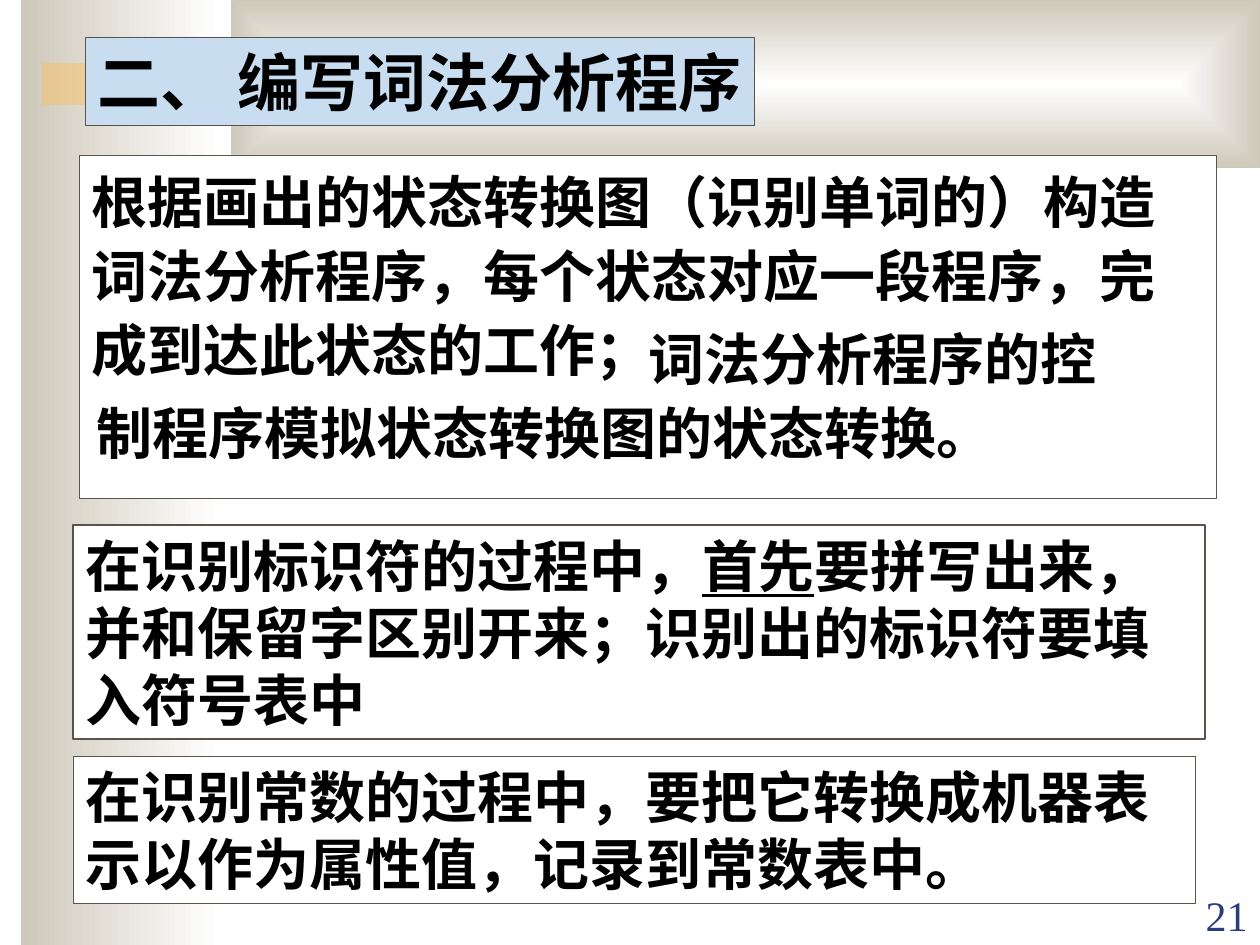
import dataclasses
import typing

import pptx
import pptx.dml.color
import pptx.enum.shapes
import pptx.enum.text
import pptx.oxml
import pptx.oxml.ns
import pptx.util

RGB = pptx.dml.color.RGBColor
WHITE = RGB(0xFF, 0xFF, 0xFF)
BLACK = RGB(0, 0, 0)
TAN = RGB(0xCE, 0xC8, 0xBA)
GOLD = RGB(0xFA, 0xC1, 0x64)
BROWN = RGB(0x5B, 0x52, 0x49)
BLUE = RGB(0xC9, 0xDD, 0xF1)
NAVY = RGB(0x2A, 0x3D, 0x7A)

JP = "Noto Sans CJK JP"
SC = "Noto Sans CJK SC"
TIMES = "Times New Roman"
SCALE = 914400 / 126
NS = pptx.oxml.ns.nsdecls("a")
Area = tuple[int, int, int, int]


@dataclasses.dataclass
class Run:
    text: str
    line: bool = False


@dataclasses.dataclass
class Box:
    area: Area
    runs: list[Run]
    font: str = JP
    size: int = 32
    bold: bool = True
    ink: RGB = BLACK
    fill: typing.Optional[RGB] = WHITE
    edge: float = 0.25
    wrap: bool = True
    indent: int = 0
    form: dict[str, typing.Any] = dataclasses.field(default_factory=dict)
    anchor: typing.Any = pptx.enum.text.MSO_ANCHOR.TOP


def px(value: int) -> int:
    return round(value * SCALE)


def assign(item: typing.Any, values: dict[str, typing.Any]) -> None:
    for name, value in values.items():
        setattr(item, name, value)


def add_rect(slide: typing.Any, area: Area) -> typing.Any:
    kind = pptx.enum.shapes.MSO_SHAPE.RECTANGLE
    shape = slide.shapes.add_shape(kind, *map(px, area))
    shape.shadow.inherit = False
    shape.line.fill.background()
    return shape


def add_fade(slide: typing.Any, area: Area, center: bool = False) -> None:
    shape = add_rect(slide, area)
    shape.fill.gradient()
    shape.fill.gradient_angle = 180
    for stop, color, place in zip(shape.fill.gradient_stops, (WHITE, TAN), (0, 1)):
        stop.color.rgb = color
        stop.position = place
    if center:
        lin = shape.element.spPr.find(".//" + pptx.oxml.ns.qn("a:lin"))
        focus = pptx.oxml.parse_xml(
            f'<a:path {NS} path="rect">'
            '<a:fillToRect l="50000" t="50000" r="50000" b="50000"/></a:path>'
        )
        lin.getparent().replace(lin, focus)


def add_bar(slide: typing.Any, area: Area) -> None:
    shape = add_rect(slide, area)
    shape.fill.solid()
    shape.fill.fore_color.rgb = GOLD
    color = shape.element.spPr.find(".//" + pptx.oxml.ns.qn("a:srgbClr"))
    color.append(pptx.oxml.parse_xml(f'<a:alpha {NS} val="50000"/>'))


def add_box(slide: typing.Any, box: Box) -> None:
    if box.fill is None:
        shape = slide.shapes.add_textbox(*map(px, box.area))
    else:
        shape = add_rect(slide, box.area)
        shape.fill.solid()
        shape.fill.fore_color.rgb = box.fill
        shape.line.color.rgb = BROWN
        shape.line.width = pptx.util.Pt(box.edge)
    frame = shape.text_frame
    assign(frame, {"word_wrap": box.wrap, "vertical_anchor": box.anchor})
    para = frame.paragraphs[0]
    assign(para, {"alignment": pptx.enum.text.PP_ALIGN.LEFT, **box.form})
    if box.indent:
        para._p.get_or_add_pPr().set("indent", str(px(box.indent)))
    for part in box.runs:
        run = para.add_run()
        run.text = part.text
        assign(run.font, {
            "name": box.font,
            "size": pptx.util.Pt(box.size),
            "bold": box.bold,
            "underline": part.line,
        })
        run.font.color.rgb = box.ink
        props = run._r.get_or_add_rPr()
        props.append(pptx.oxml.parse_xml(f'<a:ea {NS} typeface="{box.font}"/>'))


LOOSE = {"line_spacing": 1.1}
BOXES = [
    Box((73, 525, 1132, 214), [
        Run("在识别标识符的过程中，"),
        Run("首先", line=True),
        Run("要拼写出来，并和保留字区别开来；识别出的标识符要填入符号表中"),
    ], edge=0.75),
    Box((85, 37, 669, 88), [Run("二、 编写词法分析程序")],
        size=36, fill=BLUE, wrap=False),
    Box((79, 155, 1137, 343), [
        Run("根据画出的状态转换图（识别单词的）构造词法分析程序，"
            "每个状态对应一段程序，完成到达此状态的工作；"),
    ], font=SC, form=LOOSE),
    Box((73, 756, 1122, 147), [
        Run("在识别常数的过程中，要把它转换成机器表示以作为属性值，记录到常数表中。"),
    ]),
    Box((84, 312, 1071, 161), [
        Run("词法分析程序的控制程序模拟状态转换图的状态转换。"),
    ], font=SC, fill=None, indent=552, form=LOOSE),
    Box((1134, 883, 126, 63), [Run("21")], font=TIMES, size=24, bold=False,
        ink=NAVY, fill=None, form={"alignment": pptx.enum.text.PP_ALIGN.RIGHT},
        anchor=pptx.enum.text.MSO_ANCHOR.BOTTOM),
]


def main() -> None:
    deck = pptx.Presentation()
    assign(deck, {"slide_width": px(1260), "slide_height": px(945)})
    slide = deck.slides.add_slide(deck.slide_layouts[6])
    add_fade(slide, (21, 0, 199, 945))
    add_fade(slide, (231, 0, 1029, 168), center=True)
    add_bar(slide, (42, 63, 350, 42))
    for box in BOXES:
        add_box(slide, box)
    deck.save("out.pptx")


if __name__ == "__main__":
    main()
